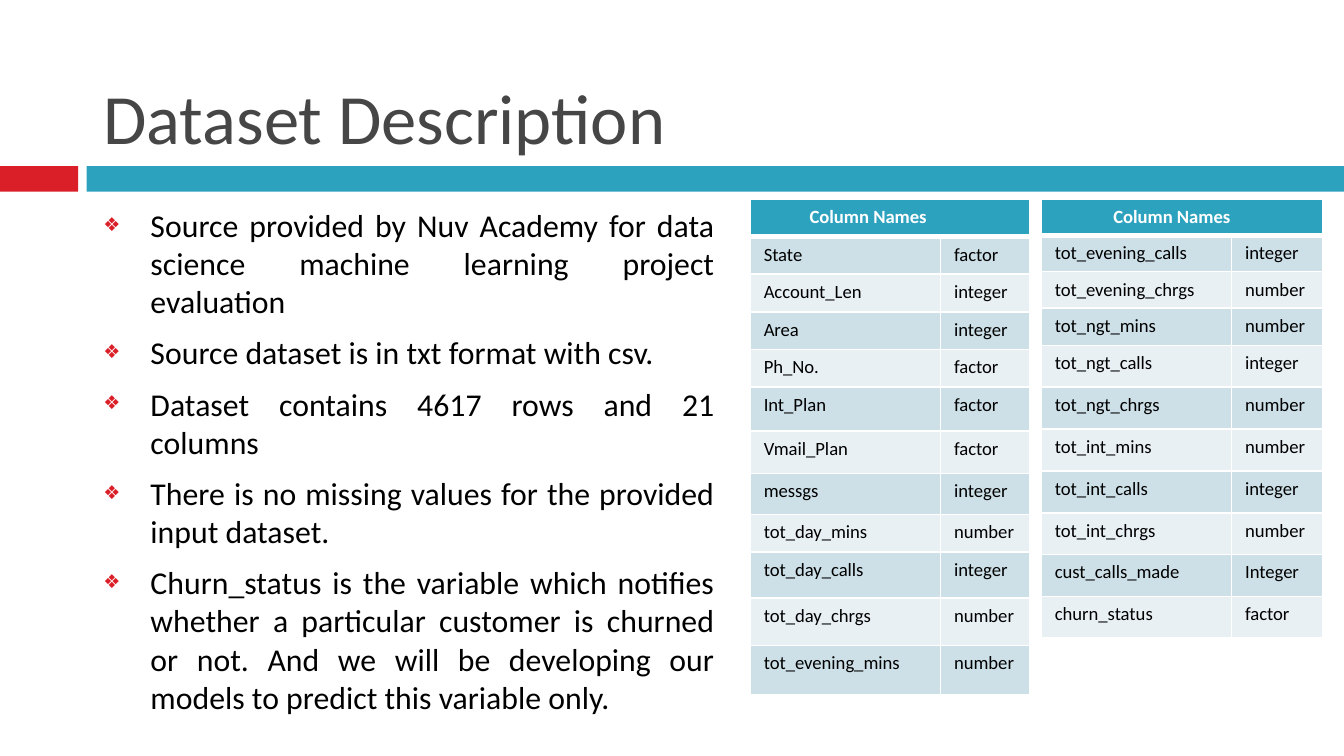
from lxml import etree
from pptx import Presentation
from pptx import util as u
from pptx.dml import color
from pptx.enum import shapes, text
from pptx.oxml import ns

FONT = "Calibri"
RED, TEAL, WHITE, BLACK = "DA1F28", "2DA2BF", "FFFFFF", "000000"
BANDS = ("CDE0E8", "E8F0F4")

POINTS = [
    "Source provided by Nuv Academy for data science machine learning project evaluation",
    "Source dataset is in txt format with csv.",
    "Dataset contains 4617 rows and 21 columns",
    "There is no missing values for the provided input dataset.",
    "Churn_status is the variable which notifies whether a particular customer is churned "
    "or not. And we will be developing our models to predict this variable only.",
]
FIRST_COLUMNS = [
    ("State", "factor"), ("Account_Len", "integer"), ("Area", "integer"),
    ("Ph_No.", "factor"), ("Int_Plan", "factor"), ("Vmail_Plan", "factor"),
    ("messgs", "integer"), ("tot_day_mins", "number"), ("tot_day_calls", "integer"),
    ("tot_day_chrgs", "number"), ("tot_evening_mins", "number"),
]
LAST_COLUMNS = [
    ("tot_evening_calls", "integer"), ("tot_evening_chrgs", "number"),
    ("tot_ngt_mins", "number"), ("tot_ngt_calls", "integer"), ("tot_ngt_chrgs", "number"),
    ("tot_int_mins", "number"), ("tot_int_calls", "integer"), ("tot_int_chrgs", "number"),
    ("cust_calls_made", "Integer"), ("churn_status", "factor"),
]
FIRST_HEIGHTS = [0.71] * 5 + [0.83, 0.8, 0.78, 0.71, 0.87, 0.89, 0.93]
LAST_HEIGHTS = [0.62, 0.69, 0.67, 0.71] + [0.79] * 7


def rgb(value):
    """Return the colour for a hex string."""
    return color.RGBColor.from_string(value)


def place(shape, box):
    """Move a shape to a box of left, top, width and height in centimetres."""
    shape.left, shape.top, shape.width, shape.height = map(u.Cm, box)


def style(paragraph, size, value, bold=False):
    """Set the font of a whole paragraph."""
    font = paragraph.font
    font.name, font.size, font.bold = FONT, u.Pt(size), bold
    font.color.rgb = rgb(value)


def add_child(parent, tag, **attributes):
    """Append a DrawingML element to a parent."""
    return etree.SubElement(parent, ns.qn(f"a:{tag}"), attributes)


def add_band(slide, box, accent=1.48, gap=0.16):
    """Draw the red accent and the teal bar across the box."""
    left, top, width, height = box
    start = left + accent + gap
    parts = [(left, accent, RED), (start, left + width - start, TEAL)]
    for part_left, part_width, fill in parts:
        bar = slide.shapes.add_shape(shapes.MSO_SHAPE.RECTANGLE, 0, 0, 0, 0)
        place(bar, (part_left, top, part_width, height))
        bar.shadow.inherit = False
        bar.fill.solid()
        bar.fill.fore_color.rgb = rgb(fill)
        bar.line.fill.background()


def fill_title(title, box, words):
    """Place and format the slide title."""
    place(title, box)
    frame = title.text_frame
    frame.text = words
    frame.auto_size = text.MSO_AUTO_SIZE.NONE
    frame.vertical_anchor = text.MSO_ANCHOR.BOTTOM
    paragraph = frame.paragraphs[0]
    paragraph.alignment = text.PP_ALIGN.LEFT
    style(paragraph, 37.8, "464646")


def fill_list(body, box, points):
    """Place the justified list with its diamond bullets."""
    place(body, box)
    frame = body.text_frame
    frame.text = "\n".join(points)
    frame.auto_size = text.MSO_AUTO_SIZE.NONE
    for paragraph in frame.paragraphs:
        paragraph.alignment = text.PP_ALIGN.JUSTIFY
        paragraph.space_before = u.Pt(7)
        style(paragraph, 17, BLACK)
        properties = paragraph._p.get_or_add_pPr()
        indent = u.Cm(0.89)
        properties.set("marL", str(indent))
        properties.set("indent", str(-indent))
        defaults = properties.find(ns.qn("a:defRPr"))
        add_child(add_child(properties, "buClr"), "srgbClr", val=RED)
        add_child(properties, "buSzPct", val="60000")
        add_child(properties, "buFont", typeface=FONT)
        add_child(properties, "buChar", char="❖")
        properties.append(defaults)


def fill_cell(cell, words, fill, value=BLACK, bold=False, bottom=1):
    """Write a cell with its fill and white borders."""
    cell.text = words
    style(cell.text_frame.paragraphs[0], 10, value, bold)
    properties = cell._tc.get_or_add_tcPr()
    for side, width in (("L", 1), ("R", 1), ("T", 1), ("B", bottom)):
        border = add_child(properties, f"ln{side}", w=str(u.Pt(width)))
        add_child(add_child(border, "solidFill"), "srgbClr", val=WHITE)
    cell.fill.solid()
    cell.fill.fore_color.rgb = rgb(fill)


def add_columns_table(slide, box, rows, heights, heading_indent):
    """Add a table of column names and types under a merged heading."""
    frame = slide.shapes.add_table(len(rows) + 1, 2, *map(u.Cm, box))
    table = frame.table
    for column, share in zip(table.columns, (0.68, 0.32)):
        column.width = u.Cm(box[2] * share)
    for row, height in zip(table.rows, heights):
        row.height = u.Cm(height)
    heading = table.cell(0, 0)
    heading.merge(table.cell(0, 1))
    fill_cell(heading, "Column Names", TEAL, WHITE, True, 3)
    heading.margin_left = u.Cm(heading_indent)
    for index, row in enumerate(rows):
        for column, words in enumerate(row):
            fill_cell(table.cell(index + 1, column), words, BANDS[index % 2])


def main():
    """Build and save the dataset description slide."""
    presentation = Presentation()
    presentation.slide_width, presentation.slide_height = u.Cm(25.4), u.Cm(14.28)
    slide = presentation.slides.add_slide(presentation.slide_layouts[1])
    add_band(slide, (0, 3.14, 25.4, 0.48))
    fill_title(slide.shapes.title, (1.7, 0.33, 11.23, 2.79), "Dataset Description")
    fill_list(slide.placeholders[1], (1.7, 3.76, 12.06, 10.36), POINTS)
    add_columns_table(slide, (14.18, 3.76, 5.29, 9.37), FIRST_COLUMNS, FIRST_HEIGHTS, 1.12)
    add_columns_table(slide, (19.68, 3.76, 5.29, 8.33), LAST_COLUMNS, LAST_HEIGHTS, 1.36)
    presentation.save("out.pptx")


if __name__ == "__main__":
    main()
